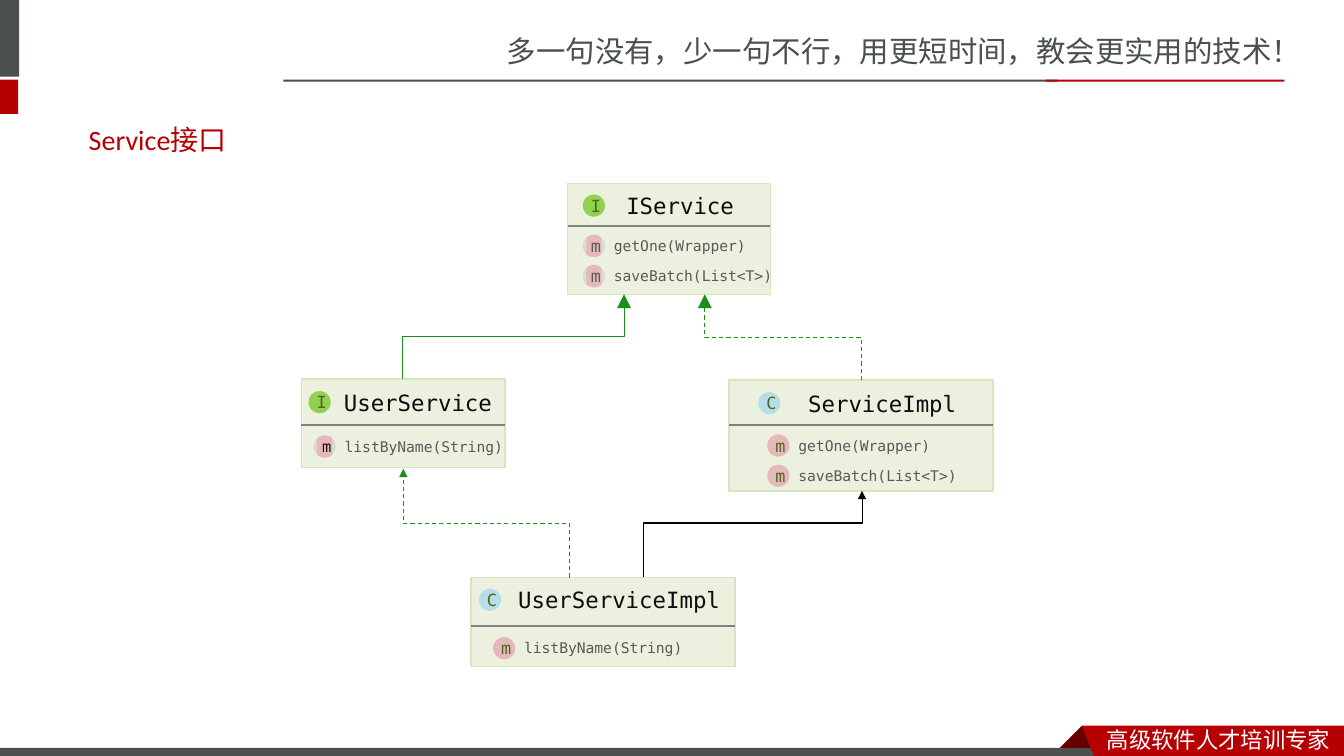
from math import cos, pi, sin

from lxml import etree
from pptx import Presentation
from pptx.dml.color import RGBColor
from pptx.enum.dml import MSO_LINE
from pptx.enum.shapes import MSO_CONNECTOR, MSO_SHAPE
from pptx.enum.text import MSO_ANCHOR, PP_ALIGN
from pptx.oxml.ns import qn
from pptx.util import Inches, Pt

RECT, OVAL = MSO_SHAPE.RECTANGLE, MSO_SHAPE.OVAL
STRAIGHT, ELBOW = MSO_CONNECTOR.STRAIGHT, MSO_CONNECTOR.ELBOW
LEFT, CENTER = PP_ALIGN.LEFT, PP_ALIGN.CENTER
DASH = MSO_LINE.DASH

WHITE = RGBColor(0xFF, 0xFF, 0xFF)
BLACK = RGBColor(0x00, 0x00, 0x00)
SLATE = RGBColor(0x49, 0x50, 0x4F)
RED = RGBColor(0xB6, 0x00, 0x04)
DARK_RED = RGBColor(0x68, 0x00, 0x00)
CARD = RGBColor(0xEB, 0xF1, 0xDE)
CARD_EDGE = RGBColor(0xD7, 0xE4, 0xBD)
LIME = RGBColor(0x92, 0xD0, 0x50)
SKY = RGBColor(0xB7, 0xDE, 0xE8)
PINK = RGBColor(0xE6, 0xB9, 0xB8)
LIGHT_GREY = RGBColor(0xD9, 0xD9, 0xD9)
GREY = RGBColor(0x80, 0x80, 0x80)
DARK_GREY = RGBColor(0x59, 0x59, 0x59)
OLIVE = RGBColor(0x4F, 0x62, 0x28)
INK = RGBColor(0x0D, 0x0D, 0x0D)
GREEN = RGBColor(0x1C, 0x8E, 0x1C)

MONO, CJK = "DejaVu Sans Mono", "Noto Sans CJK SC"
BADGE = 0.22


def paint(shape, fill, edge=None, edge_width=1):
    shape.shadow.inherit = False
    shape.fill.solid()
    shape.fill.fore_color.rgb = fill
    if edge is None:
        shape.line.fill.background()
    else:
        shape.line.color.rgb = edge
        shape.line.width = Pt(edge_width)


def write(shape, text, size, color, font=MONO, align=LEFT, wrap=True):
    shape.text_frame.word_wrap = wrap
    paragraph = shape.text_frame.paragraphs[0]
    paragraph.text = text
    paragraph.alignment = align
    paragraph.font.size = Pt(size)
    paragraph.font.color.rgb = color
    paragraph.font.name = font
    defaults = paragraph._p.pPr.find(qn("a:defRPr"))
    etree.SubElement(defaults, qn("a:ea"), typeface=CJK)


prs = Presentation()
prs.slide_width, prs.slide_height = Inches(13.33), Inches(7.5)
slide = prs.slides.add_slide(prs.slide_layouts[5])
shapes = slide.shapes

# Header and footer bands
for box, fill in [
    ((0, 0, 0.19, 0.76), SLATE),
    ((0, 0.79, 0.18, 0.34), RED),
    ((2.81, 0.79, 7.68, 0.02), SLATE),
    ((10.37, 0.79, 2.37, 0.02), RED),
    ((0, 7.42, 10.99, 0.08), SLATE),
]:
    paint(shapes.add_shape(RECT, *map(Inches, box)), fill)

for outline, fill in [
    ([(10.73, 7.2), (10.95, 7.42), (10.51, 7.42)], DARK_RED),
    ([(10.73, 7.2), (13.33, 7.2), (13.33, 7.5), (10.85, 7.5)], RED),
]:
    corners = [(Inches(x), Inches(y)) for x, y in outline]
    ribbon = shapes.build_freeform(*corners[0])
    ribbon.add_line_segments(corners[1:])
    paint(ribbon.convert_to_shape(), fill)

for box, text, size, color in [
    ((4.93, 0.28, 8.4, 0.47), "多一句没有，少一句不行，用更短时间，教会更实用的技术！", 21, SLATE),
    ((10.88, 7.15, 2.45, 0.37), "高级软件人才培训专家", 16, WHITE),
]:
    write(shapes.add_textbox(*map(Inches, box)), text, size, color, CJK)

title = shapes.title
title.left, title.top, title.width, title.height = map(Inches, (0.78, 1.08, 6.53, 0.61))
title.text_frame.vertical_anchor = MSO_ANCHOR.MIDDLE
write(title, "Service接口", 20, RED, "Calibri")

# Class cards: kind, card box, name, name box (left, top, width), divider y,
# first method badge (left, top), methods, abstract, badge text size and colour
BOTH = ["getOne(Wrapper)", "saveBatch(List<T>)"]
BY_NAME = ["listByName(String)"]
classes = [
    ("I", (5.63, 1.82, 2.01, 1.1), "IService", (6.04, 1.86, 1.41), 2.24,
     (5.78, 2.33), BOTH, True, 12, DARK_GREY, 5.78),
    ("I", (2.99, 3.76, 2.02, 0.88), "UserService", (3.29, 3.81, 1.71), 4.22,
     (3.11, 4.32), BY_NAME, True, 11, INK, 3.06),
    ("C", (7.23, 3.77, 2.62, 1.1), "ServiceImpl", (7.65, 3.82, 2.2), 4.22,
     (7.61, 4.31), BOTH, False, 12, OLIVE, 7.52),
    ("C", (4.67, 5.73, 2.62, 0.88), "UserServiceImpl", (4.98, 5.77, 2.32), 6.21,
     (4.89, 6.32), BY_NAME, False, 12, OLIVE, 4.75),
]
connectors = []
badges = []
for (kind, card, name, (name_x, name_y, name_w), divider_y, (method_x, method_y),
     methods, abstract, letter_size, letter_color, kind_x) in classes:
    paint(shapes.add_shape(RECT, *map(Inches, card)), CARD, CARD_EDGE)
    heading = shapes.add_textbox(Inches(name_x), Inches(name_y), Inches(name_w), Inches(0.37))
    write(heading, name, 16, INK, align=CENTER)
    divider = shapes.add_connector(STRAIGHT, Inches(card[0]), Inches(divider_y),
                                   Inches(card[0] + card[2]), Inches(divider_y))
    divider.line.color.rgb = GREY
    divider.line.width = Pt(1.5)
    connectors.append(divider)

    badges.append((kind_x, name_y + 0.07, kind, LIME if kind == "I" else SKY, 12, OLIVE, False))
    for row, method in enumerate(methods):
        y = method_y + 0.3 * row
        badges.append((method_x, y, "m", PINK, letter_size, letter_color, abstract))
        signature = shapes.add_textbox(Inches(method_x + 0.21), Inches(y - 0.03),
                                       Inches(1.78), Inches(0.28))
        write(signature, method, 10.5, DARK_GREY, wrap=False)

# Round badges; an abstract method has a grey disc under a side-trimmed pink one
for x, y, letter, fill, size, color, abstract in badges:
    badge = shapes.add_shape(OVAL, Inches(x), Inches(y), Inches(BADGE), Inches(BADGE))
    if abstract:
        paint(badge, LIGHT_GREY)
        radius = BADGE / 2
        rim = []
        for step in range(48):
            angle = 2 * pi * step / 48
            across = max(-0.075, min(0.075, radius * cos(angle)))
            rim.append((Inches(x + radius + across), Inches(y + radius + radius * sin(angle))))
        trimmed = shapes.build_freeform(*rim[0])
        trimmed.add_line_segments(rim[1:])
        badge = trimmed.convert_to_shape()
    paint(badge, fill)
    frame = badge.text_frame
    frame.margin_left = Inches(0.04)
    frame.margin_right = frame.margin_top = frame.margin_bottom = 0
    frame.vertical_anchor = MSO_ANCHOR.MIDDLE
    write(badge, letter, size, color, align=CENTER, wrap=False)

# Inheritance arrows leave upwards, so each elbow is a quarter-turned box
for (x1, y1), (x2, y2), color, dashed, bend, head_size in [
    ((3.99, 3.76), (6.19, 2.92), GREEN, False, 50000, "lg"),
    ((8.54, 3.77), (6.99, 2.92), GREEN, True, 50000, "lg"),
    ((5.65, 5.73), (4, 4.65), GREEN, True, 50000, "med"),
    ((6.38, 5.73), (8.55, 4.87), BLACK, False, 62900, "med"),
]:
    half_w, half_h = (y1 - y2) / 2, abs(x2 - x1) / 2
    mid_x, mid_y = (x1 + x2) / 2, (y1 + y2) / 2
    side = 1 if x2 > x1 else -1
    arrow = shapes.add_connector(
        ELBOW, Inches(mid_x + side * half_w), Inches(mid_y + half_h),
        Inches(mid_x - side * half_w), Inches(mid_y - half_h))
    properties = arrow._element.spPr
    properties.find(qn("a:xfrm")).set("rot", str(90 * 60000 if side > 0 else 270 * 60000))
    adjustments = properties.find(qn("a:prstGeom")).find(qn("a:avLst"))
    etree.SubElement(adjustments, qn("a:gd"), name="adj1", fmla=f"val {bend}")
    arrow.line.color.rgb = color
    arrow.line.width = Pt(0.75)
    if dashed:
        arrow.line.dash_style = DASH
    etree.SubElement(properties.find(qn("a:ln")), qn("a:tailEnd"),
                     type="triangle", w=head_size, len=head_size)
    connectors.append(arrow)

for connector in connectors:
    etree.SubElement(connector._element.spPr, qn("a:effectLst"))

prs.save("out.pptx")
